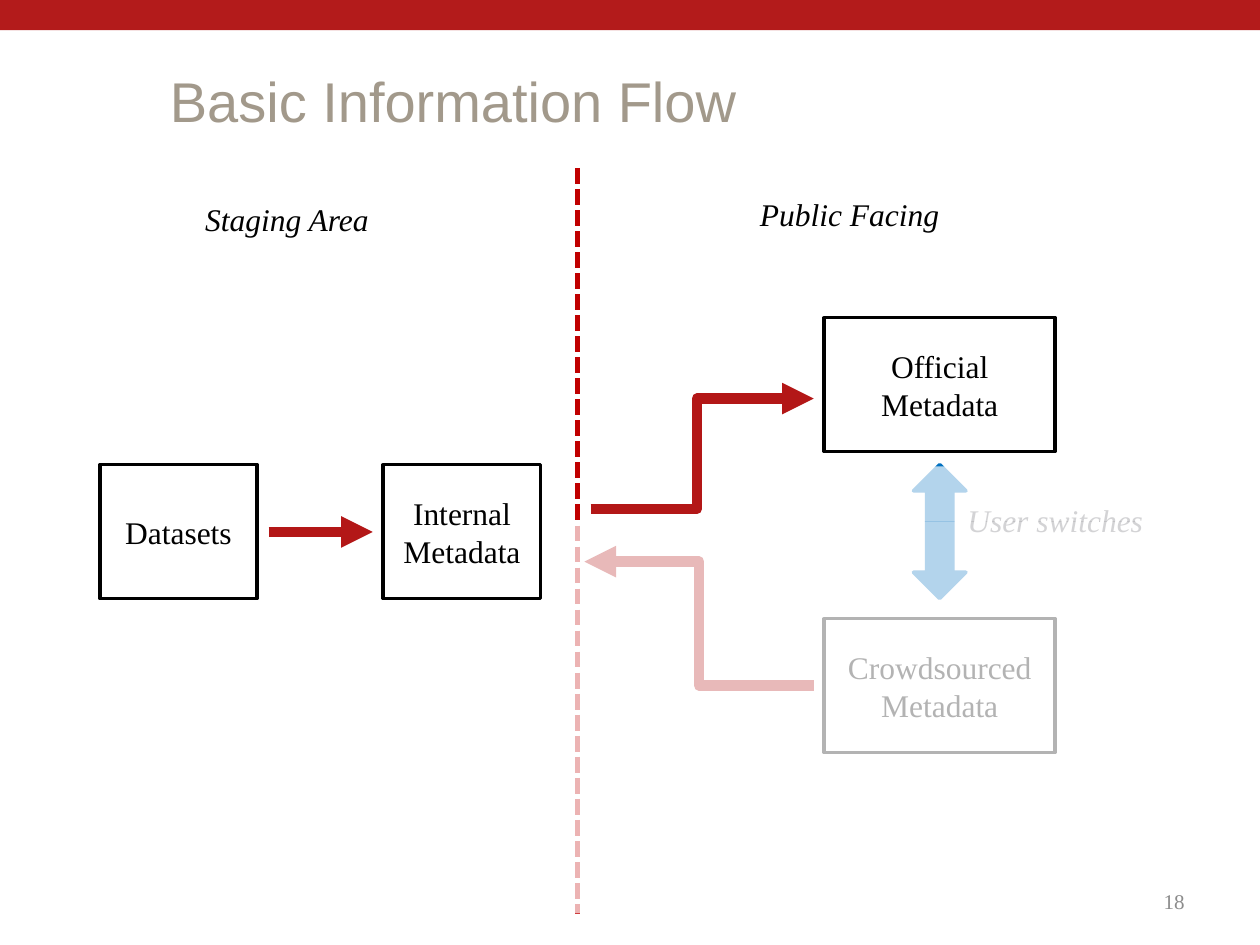
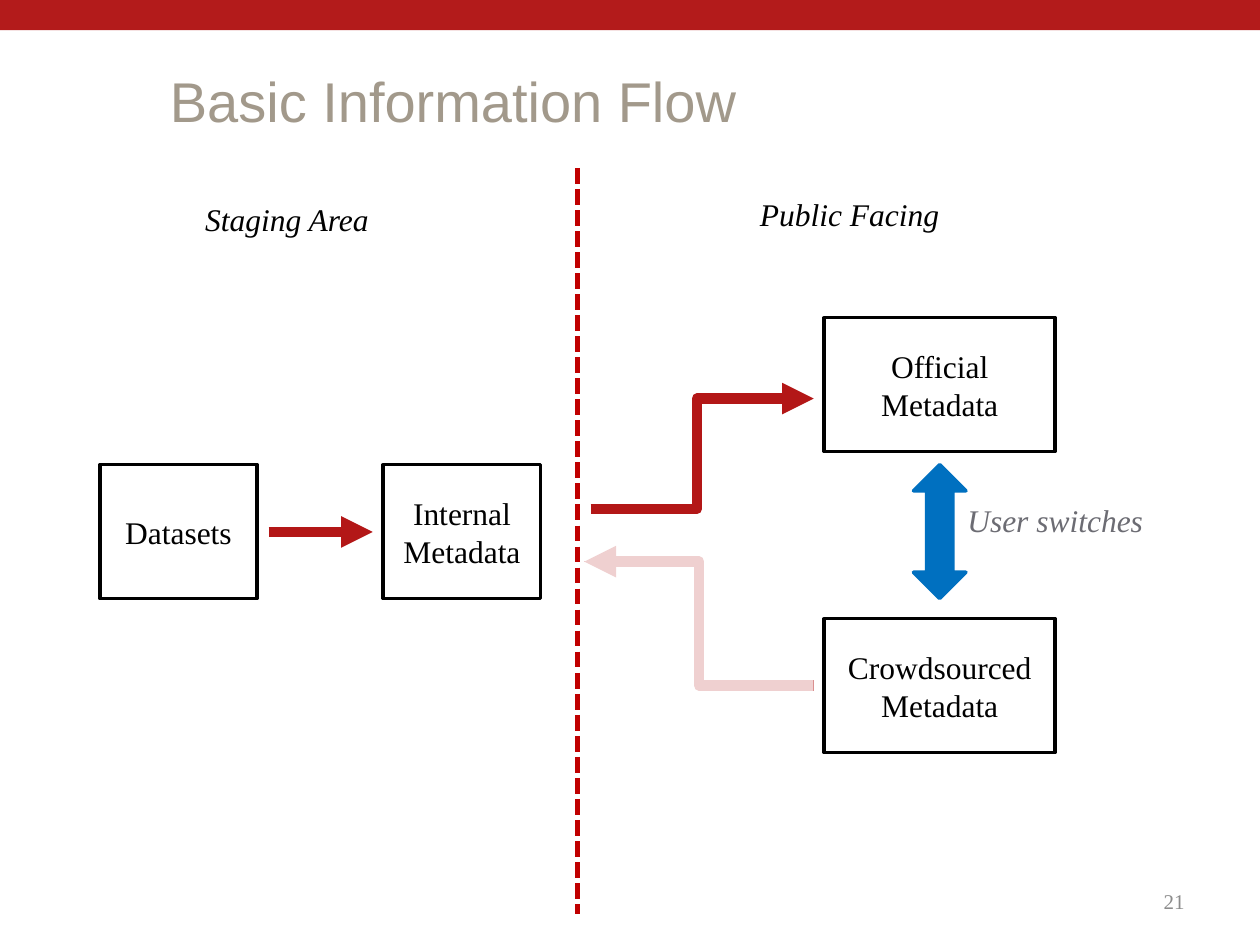
"""Build two slides showing the basic flow of metadata from staging to public."""
import lxml.etree
import pptx
import pptx.dml.color
import pptx.enum.dml
import pptx.enum.shapes
import pptx.enum.text
import pptx.oxml.ns
import pptx.util

Pt = pptx.util.Pt
SHAPES = pptx.enum.shapes.MSO_SHAPE
CONNECTORS = pptx.enum.shapes.MSO_CONNECTOR
ALIGN = pptx.enum.text.PP_ALIGN
ANCHOR = pptx.enum.text.MSO_ANCHOR

SERIF, SANS = "Times New Roman", "Arial"
BAND, FLOW, DIVIDER, SWITCH = "B31B1B", "B31717", "C00000", "0070C0"
TITLE_GREY, NUMBER_GREY, SWITCH_GREY = "A2998B", "8C8C8C", "6C6C73"
BLACK, WHITE = "000000", "FFFFFF"

TITLE = "Basic Information Flow"
BOX_HEIGHT = 76.5
BOXES = [
    (["Official", "Metadata"], 471, 181.5, 132),
    (["Crowdsourced", "Metadata"], 471, 353.5, 132),
    (["Internal", "Metadata"], 219, 265.5, 90),
    (["Datasets"], 57, 265.5, 90),
]
FLOWS = [
    (CONNECTORS.STRAIGHT, (153.5, 304), (213, 304), None),
    (CONNECTORS.ELBOW, (465, 391.75), (334, 321), 50000),
    (CONNECTORS.ELBOW, (337.5, 290.75), (465, 227.75), 47700),
]
LABELS = [
    ("Staging Area", (88.5, 111, 151, 29), BLACK),
    ("Public Facing", (412.5, 108, 146, 29), BLACK),
    ("User switches", (530, 283, 146, 29), SWITCH_GREY),
]
SLIDES = [
    {"number": "18", "opacity": 70,
     "veils": [(315.5, 298, 345, 224), (469, 266.5, 203, 31.5)]},
    {"number": "21", "opacity": 80, "veils": [(334, 298, 131, 224)]},
]


def color(value):
    return pptx.dml.color.RGBColor.from_string(value)


def add_xml(parent, tag, **attributes):
    return lxml.etree.SubElement(parent, pptx.oxml.ns.qn(tag), attributes)


def write(shape, lines, size, text_color, font=SERIF, align=ALIGN.CENTER,
          anchor=ANCHOR.MIDDLE, italic=False):
    frame = shape.text_frame
    frame.word_wrap = True
    frame.vertical_anchor = anchor
    for index, line in enumerate(lines):
        paragraph = frame.add_paragraph() if index else frame.paragraphs[0]
        paragraph.alignment = align
        run = paragraph.add_run()
        run.text = line
        run.font.name = font
        run.font.size = Pt(size)
        run.font.italic = italic
        run.font.color.rgb = color(text_color)


def add_text(slide, text, place, size, text_color, **style):
    write(slide.shapes.add_textbox(*map(Pt, place)), [text], size, text_color, **style)


def add_block(slide, kind, place, fill, line=None):
    shape = slide.shapes.add_shape(kind, *map(Pt, place))
    shape.shadow.inherit = False
    shape.fill.solid()
    shape.fill.fore_color.rgb = color(fill)
    if line:
        shape.line.color.rgb = color(line)
        shape.line.width = Pt(2)
    else:
        shape.line.fill.background()
    return shape


def add_line(slide, kind, start, end, line_color, width):
    connector = slide.shapes.add_connector(kind, *map(Pt, start + end))
    connector.line.color.rgb = color(line_color)
    connector.line.width = Pt(width)
    add_xml(connector.element.spPr, "a:effectLst")
    return connector


def add_flow(slide, kind, start, end, bend):
    connector = add_line(slide, kind, start, end, FLOW, 6)
    line = connector.line._get_or_add_ln()
    add_xml(line, "a:round")
    add_xml(line, "a:tailEnd", type="triangle")
    if bend:
        guides = connector.element.spPr.find(".//" + pptx.oxml.ns.qn("a:avLst"))
        add_xml(guides, "a:gd", name="adj1", fmla=f"val {bend}")


def add_veil(slide, place, opacity):
    veil = add_block(slide, SHAPES.RECTANGLE, place, WHITE)
    fill = veil.element.spPr.find(".//" + pptx.oxml.ns.qn("a:srgbClr"))
    add_xml(fill, "a:alpha", val=str(opacity * 1000))


def add_frame(slide, number):
    add_block(slide, SHAPES.RECTANGLE, (0, 0, 720, 17.28), BAND)
    add_text(slide, TITLE, (90, 30, 630, 54), 32, TITLE_GREY, font=SANS, align=ALIGN.LEFT)
    add_text(slide, number, (516, 500.5, 168, 28.75), 12, NUMBER_GREY, align=ALIGN.RIGHT)


def add_diagram(slide):
    for lines, left, top, width in BOXES:
        box = add_block(slide, SHAPES.RECTANGLE, (left, top, width, BOX_HEIGHT), WHITE, BLACK)
        write(box, lines, 18, BLACK)
    for flow in FLOWS:
        add_flow(slide, *flow)
    divider = add_line(slide, CONNECTORS.STRAIGHT, (330, 96), (330, 522), DIVIDER, 3)
    divider.line.dash_style = pptx.enum.dml.MSO_LINE.SQUARE_DOT
    add_block(slide, SHAPES.UP_DOWN_ARROW, (522, 265.5, 30, BOX_HEIGHT), SWITCH, SWITCH)
    for text, place, text_color in LABELS:
        add_text(slide, text, place, 18, text_color, anchor=ANCHOR.TOP, italic=True)


def main():
    presentation = pptx.Presentation()
    presentation.slide_width, presentation.slide_height = Pt(720), Pt(540)
    for content in SLIDES:
        slide = presentation.slides.add_slide(presentation.slide_layouts[6])
        add_frame(slide, content["number"])
        add_diagram(slide)
        for place in content["veils"]:
            add_veil(slide, place, content["opacity"])
    presentation.save("out.pptx")


if __name__ == "__main__":
    main()
